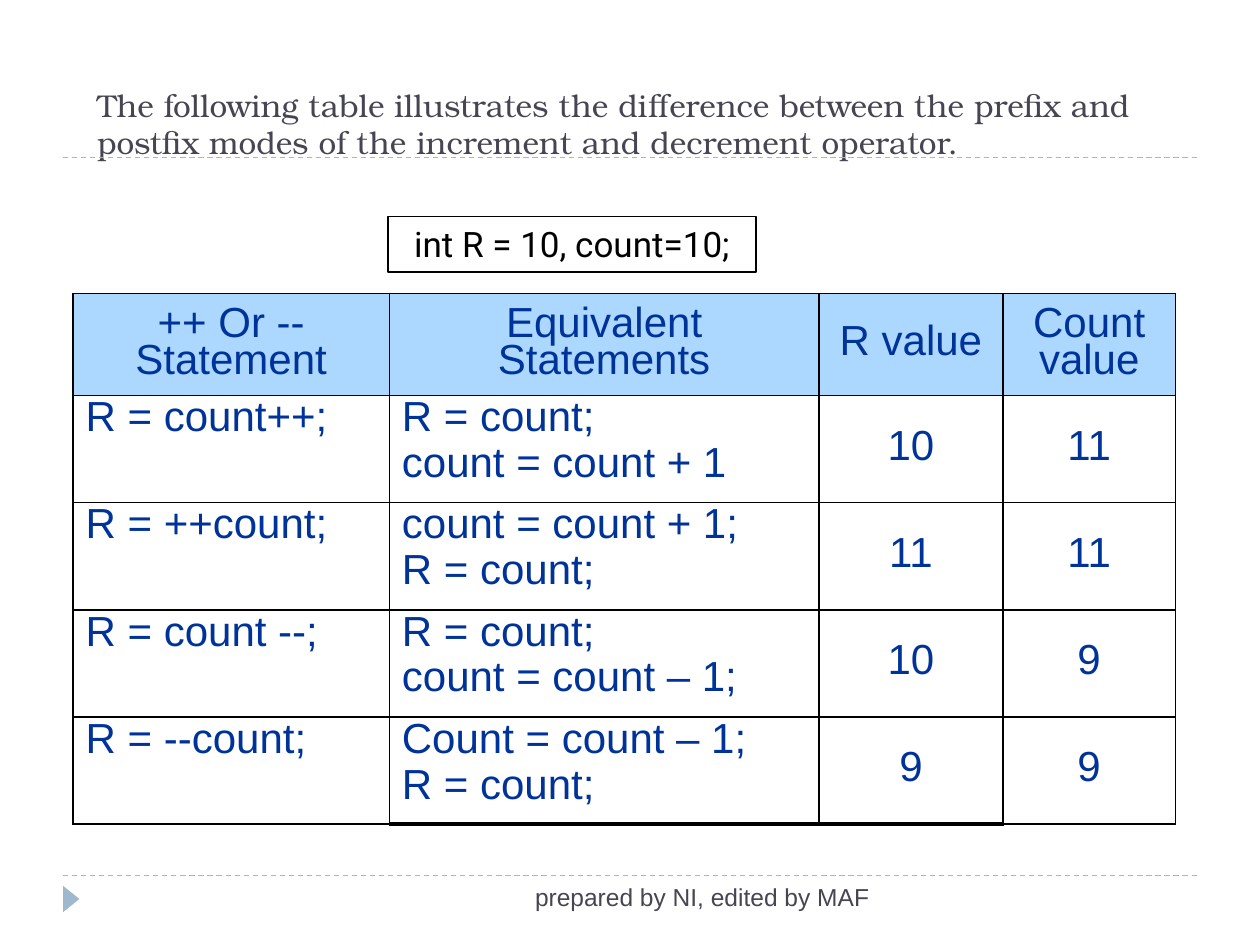
from lxml.etree import SubElement
from pptx import Presentation
from pptx.dml.color import RGBColor
from pptx.enum.dml import MSO_LINE
from pptx.enum.shapes import MSO_CONNECTOR, MSO_SHAPE
from pptx.enum.text import MSO_ANCHOR, MSO_AUTO_SIZE, PP_ALIGN
from pptx.oxml.ns import qn
from pptx.util import Inches, Pt

COLORS = {"rule": "9FB8CD", "title": "464653", "cell": "003399",
          "head": "ACD7FE", "black": "000000"}
FORMATS = {
    "title": {"size": Pt(18), "name": "TeX Gyre Bonum", "bold": False},
    "foot": {"size": Pt(14), "name": "Arial"},
    "code": {"size": Pt(20), "name": "Roboto"},
    "cell": {"size": Pt(24), "name": "Arial", "bold": False},
}


def tint(key):
    return RGBColor.from_string(COLORS[key])


class Deck:
    def __init__(self):
        self.prs = Presentation()
        self.prs.slide_width, self.prs.slide_height = Inches(10), Inches(7.5)
        self.slide = self.prs.slides.add_slide(self.prs.slide_layouts[5])
        self.shapes = self.slide.shapes

    def put(self, frame, text, style, color, align=PP_ALIGN.LEFT,
            anchor=MSO_ANCHOR.TOP, space=None):
        frame.word_wrap = True
        frame.vertical_anchor = anchor
        frame.text = text
        for i, para in enumerate(frame.paragraphs):
            para.alignment = align
            if space:
                para.line_spacing = space
                para.space_before = Pt(4.8 if i else 0)
            for key, value in FORMATS[style].items():
                setattr(para.font, key, value)
            para.font.color.rgb = tint(color)

    def title(self, text, *box):
        shape = self.shapes.title
        shape.left, shape.top, shape.width, shape.height = map(Inches, box)
        shape.text_frame.auto_size = MSO_AUTO_SIZE.NONE
        self.put(shape.text_frame, text, "title", "title",
                 anchor=MSO_ANCHOR.BOTTOM)

    def rule(self, y):
        line = self.shapes.add_connector(
            MSO_CONNECTOR.STRAIGHT, Inches(0.5), Inches(y), Inches(9.5), Inches(y))
        line.line.color.rgb = tint("rule")
        line.line.width = Pt(0.75)
        line.line.dash_style = MSO_LINE.DASH
        SubElement(line._element.spPr, qn("a:effectLst"))

    def mark(self, *box):
        shape = self.shapes.add_shape(MSO_SHAPE.ISOSCELES_TRIANGLE,
                                      *map(Inches, box))
        shape.rotation = 90
        shape.shadow.inherit = False
        shape.fill.solid()
        shape.fill.fore_color.rgb = tint("rule")
        shape.line.fill.background()

    def label(self, text, *box):
        shape = self.shapes.add_textbox(*map(Inches, box))
        self.put(shape.text_frame, text, "foot", "title", PP_ALIGN.RIGHT)

    def frame(self, text, *box):
        shape = self.shapes.add_shape(MSO_SHAPE.RECTANGLE, *map(Inches, box))
        shape.shadow.inherit = False
        shape.fill.background()
        shape.line.color.rgb = tint("black")
        shape.line.width = Pt(0.75)
        self.put(shape.text_frame, text, "code", "black", PP_ALIGN.CENTER)

    def border(self, cell, base):
        props = cell._tc.get_or_add_tcPr()
        for side in "LRTB":
            width = base if side == "B" else 1
            line = SubElement(props, qn(f"a:ln{side}"), w=str(Pt(width)))
            fill = SubElement(line, qn("a:solidFill"))
            SubElement(fill, qn("a:srgbClr"), val=COLORS["black"])

    def table(self, rows, left, top, widths, heights):
        table = self.shapes.add_table(
            len(rows), len(widths), Inches(left), Inches(top),
            Inches(sum(widths)), Inches(sum(heights))).table
        table.first_row = table.horz_banding = False
        for col, width in zip(table.columns, widths):
            col.width = Inches(width)
        for row, height in zip(table.rows, heights):
            row.height = Inches(height)
        for r, row in enumerate(rows):
            for c, text in enumerate(row):
                cell = table.cell(r, c)
                mid = r == 0 or c > 1
                self.put(cell.text_frame, text, "cell", "cell",
                         PP_ALIGN.CENTER if mid else PP_ALIGN.LEFT, space=0.8)
                cell.vertical_anchor = MSO_ANCHOR.MIDDLE if mid else MSO_ANCHOR.TOP
                # The last row has a heavy base under its middle columns
                heavy = r == len(rows) - 1 and c in (1, 2)
                self.border(cell, 2.25 if heavy else 1)
                if r:
                    cell.fill.background()
                else:
                    cell.fill.solid()
                    cell.fill.fore_color.rgb = tint("head")


def main():
    deck = Deck()

    # Rules and footer marker
    for y in (6.95, 1.25):
        deck.rule(y)
    deck.mark(0.46, 7.07, 0.21, 0.13)

    # Title, footer and starting values
    deck.title("The following table illustrates the difference between the "
               "prefix and postfix modes of the increment and decrement "
               "operator.", 0.67, 0.25, 8.92, 1.08)
    deck.label("prepared by NI, edited by MAF", 3.17, 6.95, 3.83, 0.4)
    deck.frame("int R = 10, count=10;", 3.08, 1.72, 2.92, 0.44)

    # Operator table
    rows = [
        ("++ Or -- Statement", "Equivalent Statements", "R value", "Count value"),
        ("R = count++;", "R = count;\ncount = count + 1", "10", "11"),
        ("R = ++count;", "count = count + 1;\nR = count;", "11", "11"),
        ("R = count --;", "R = count;\ncount = count – 1;", "10", "9"),
        ("R = --count;", "Count = count – 1;\nR = count;", "9", "9"),
    ]
    deck.table(rows, 0.58, 2.33, (2.51, 3.41, 1.46, 1.37), [0.81] + [0.85] * 4)

    deck.prs.save("out.pptx")


if __name__ == "__main__":
    main()
